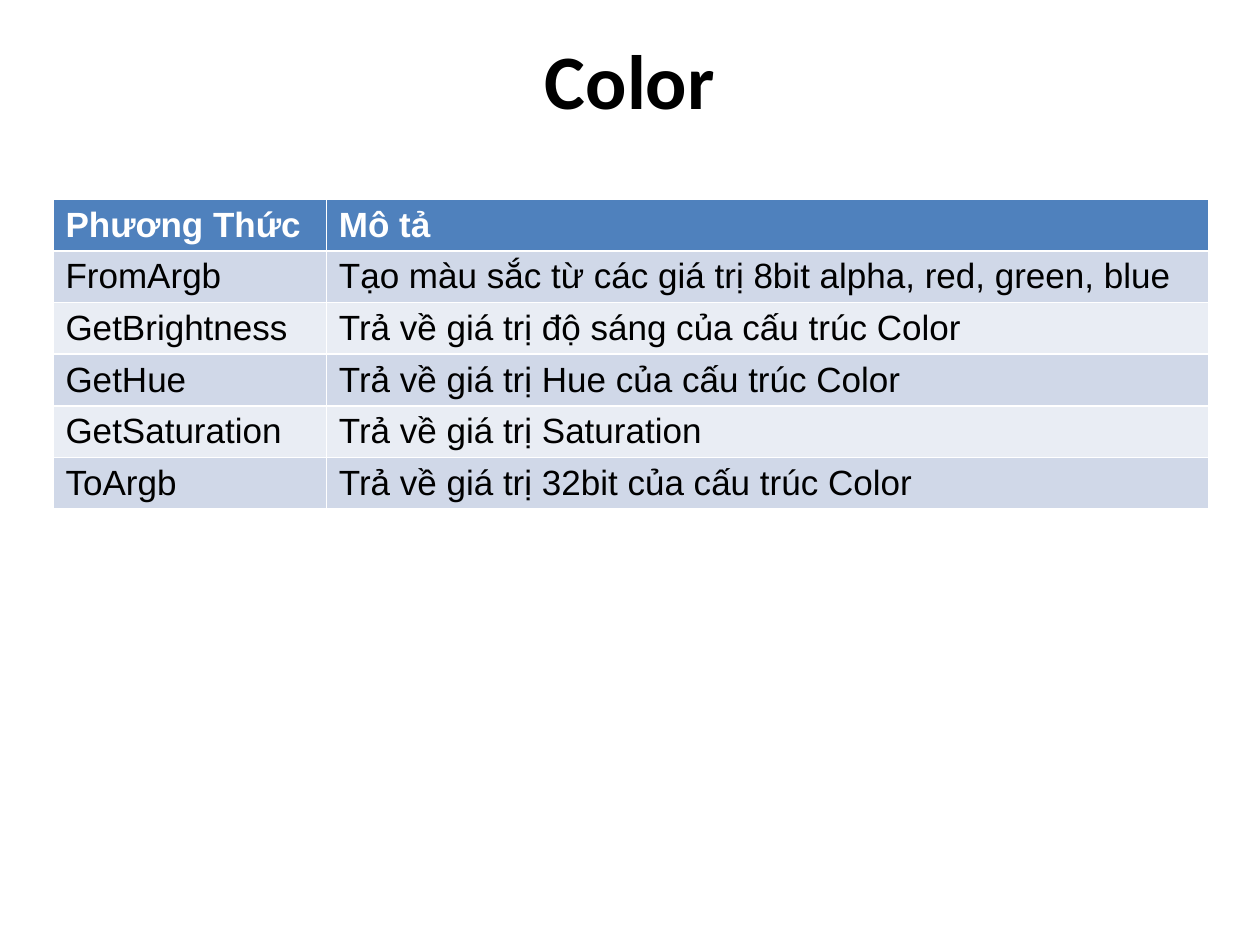
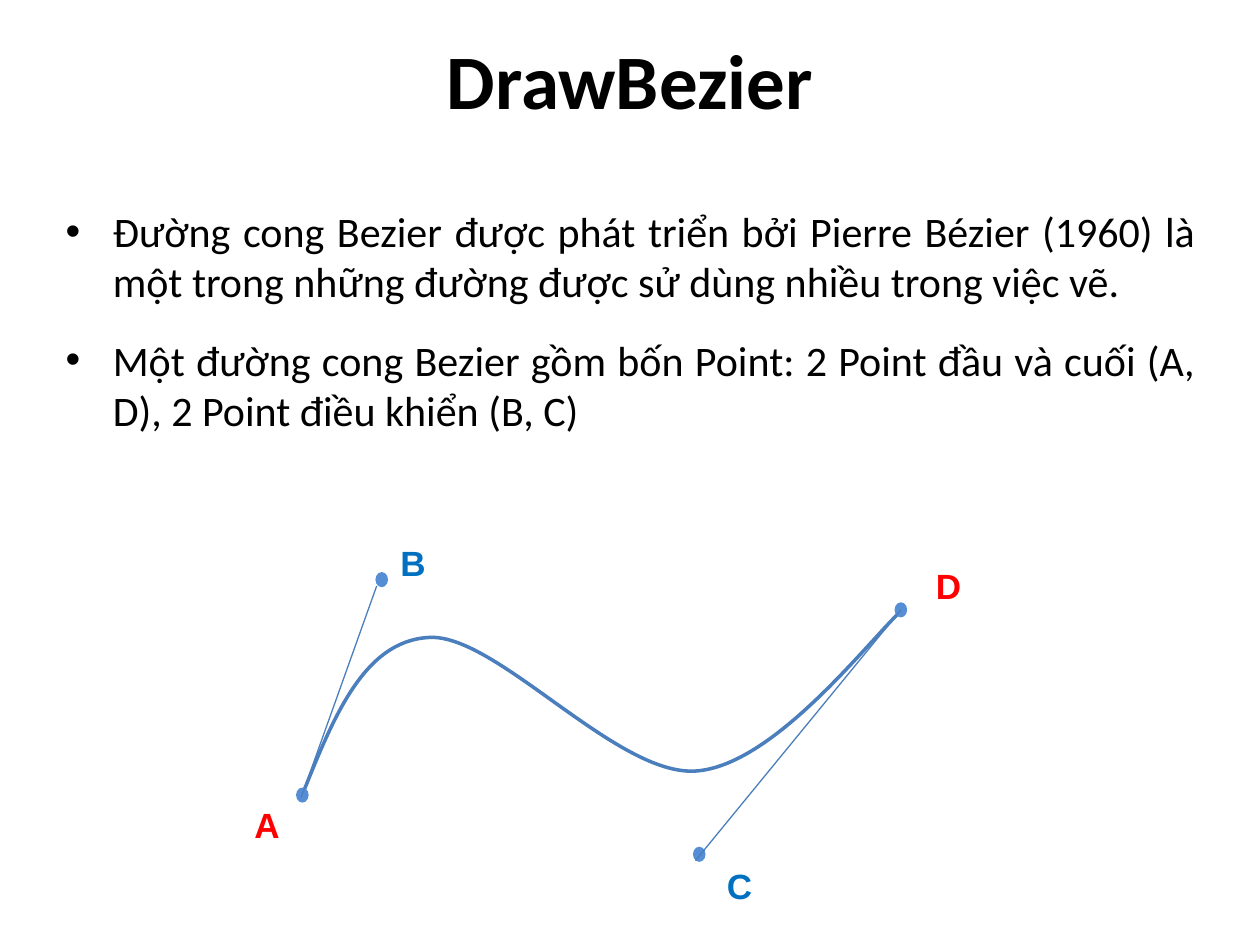
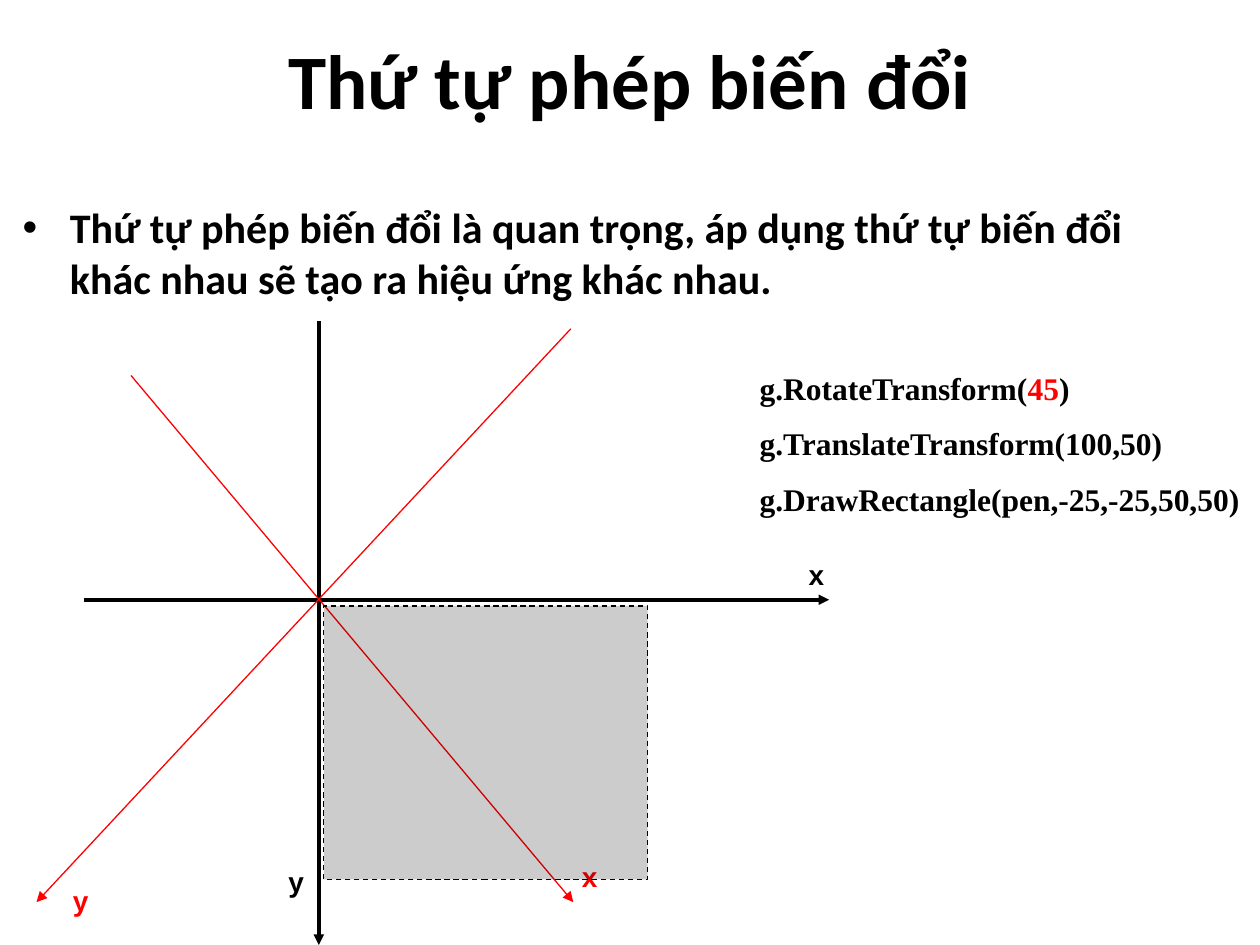
from lxml import etree
from pptx import Presentation
from pptx import util as u
from pptx.dml.color import RGBColor
from pptx.enum import dml, shapes, text
from pptx.oxml.ns import qn

SCALE = 9144  # EMU per px, 100 px to the inch

BLACK = RGBColor(0x00, 0x00, 0x00)
WHITE = RGBColor(0xFF, 0xFF, 0xFF)
RED = RGBColor(0xFF, 0x00, 0x00)
LABEL_BLUE = RGBColor(0x00, 0x70, 0xC0)
CURVE_BLUE = RGBColor(0x4B, 0x7E, 0xBC)
DOT_BLUE = RGBColor(0x55, 0x8E, 0xD5)
HEADER_BLUE = RGBColor(0x4F, 0x81, 0xBD)
BAND_DARK = RGBColor(0xD0, 0xD8, 0xE8)
BAND_LIGHT = RGBColor(0xE9, 0xED, 0xF4)

HEADING_FONT, LABEL_FONT, CODE_FONT = "Calibri", "Arial", "Times New Roman"
LIST_LAYOUT, TITLE_LAYOUT = 1, 5


def px(*lengths):
    return [u.Emu(length * SCALE) for length in lengths]


class Deck:
    """Holds the shared style and the slide being filled."""

    def __init__(self):
        self.presentation = Presentation()
        width, height = px(1000, 750)
        self.presentation.slide_width, self.presentation.slide_height = width, height
        self.slide = None

    def new_slide(self, layout, title):
        self.slide = self.presentation.slides.add_slide(
            self.presentation.slide_layouts[layout])
        shape = self.slide.shapes.title
        self.place(shape, 50, 0, 900, 125)
        frame = shape.text_frame
        frame.auto_size = text.MSO_AUTO_SIZE.NONE
        frame.vertical_anchor = text.MSO_ANCHOR.MIDDLE
        paragraph = frame.paragraphs[0]
        paragraph.alignment = text.PP_ALIGN.CENTER
        self.run(paragraph, title, 44, HEADING_FONT, bold=True)

    def place(self, shape, *box):
        shape.left, shape.top, shape.width, shape.height = px(*box)

    def run(self, paragraph, words, size, font, color=BLACK, bold=False):
        run = paragraph.add_run()
        run.text = words
        run.font.size = u.Pt(size)
        run.font.name = font
        run.font.bold = bold
        run.font.color.rgb = color

    def paragraphs(self, frame, count):
        while len(frame.paragraphs) < count:
            frame.add_paragraph()
        return frame.paragraphs

    def bullets(self, box, items, bold=False, align=None, space=None):
        shape = self.slide.placeholders[1]
        self.place(shape, *box)
        frame = shape.text_frame
        frame.auto_size = text.MSO_AUTO_SIZE.NONE
        for paragraph, item in zip(self.paragraphs(frame, len(items)), items):
            paragraph.alignment = align
            if space:
                paragraph.space_before = paragraph.space_after = u.Pt(space)
            self.run(paragraph, item, 24, HEADING_FONT, bold=bold)

    def text_box(self, box, lines, size, font, space=0):
        """Each line is a list of (words, color) runs."""
        frame = self.slide.shapes.add_textbox(*px(*box)).text_frame
        frame.word_wrap = True
        frame.margin_right = 0
        for paragraph, line in zip(self.paragraphs(frame, len(lines)), lines):
            paragraph.space_before = u.Pt(space)
            for words, color in line:
                self.run(paragraph, words, size, font, color, bold=True)

    def label(self, left, top, words, color, size):
        self.text_box((left, top, 42, 44), [[(words, color)]], size, LABEL_FONT)

    def table(self, left, top, column_widths, row_height, rows):
        shape = self.slide.shapes.add_table(
            len(rows), len(column_widths),
            *px(left, top, sum(column_widths), row_height * len(rows)))
        table = shape.table
        for column, width in zip(table.columns, px(*column_widths)):
            column.width = width
        for row_index, row in enumerate(rows):
            header = row_index == 0
            band = BAND_DARK if row_index % 2 else BAND_LIGHT
            for column_index, words in enumerate(row):
                cell = table.cell(row_index, column_index)
                cell.fill.solid()
                cell.fill.fore_color.rgb = HEADER_BLUE if header else band
                self.run(cell.text_frame.paragraphs[0], words, 20, LABEL_FONT,
                         WHITE if header else BLACK, bold=header)

    def line(self, start, end, color, width, arrow=False):
        connector = self.slide.shapes.add_connector(
            shapes.MSO_CONNECTOR.STRAIGHT, *px(*start, *end))
        connector.line.color.rgb = color
        connector.line.width = u.Pt(width)
        properties = connector.line._get_or_add_ln()
        if arrow:
            etree.SubElement(properties, qn("a:tailEnd"), type="triangle")
        etree.SubElement(properties.getparent(), qn("a:effectLst"))

    def shape(self, kind, box, fill):
        shape = self.slide.shapes.add_shape(kind, *px(*box))
        shape.shadow.inherit = False
        shape.fill.solid()
        shape.fill.fore_color.rgb = fill
        shape.line.fill.background()
        return shape

    def dot(self, left, top):
        self.shape(shapes.MSO_SHAPE.OVAL, (left, top, 10, 12), DOT_BLUE)

    def dashed_glass(self, box, opacity):
        shape = self.shape(shapes.MSO_SHAPE.RECTANGLE, box, BLACK)
        color = shape._element.spPr.find(qn("a:solidFill"))[0]
        etree.SubElement(color, qn("a:alpha"), val=str(opacity * 1000))
        shape.line.color.rgb = BLACK
        shape.line.width = u.Pt(0.75)
        shape.line.dash_style = dml.MSO_LINE.DASH

    def curve(self, start, controls, color, width):
        """Every three control points make one cubic segment."""
        builder = self.slide.shapes.build_freeform(*start, scale=SCALE)
        builder.add_line_segments(controls, close=False)
        shape = builder.convert_to_shape()
        segments = shape._element.xpath(".//a:lnTo")
        outline = segments[0].getparent()
        for first in range(0, len(segments), 3):
            cubic = etree.SubElement(outline, qn("a:cubicBezTo"))
            for segment in segments[first:first + 3]:
                cubic.append(segment[0])
                outline.remove(segment)
        shape.shadow.inherit = False
        shape.fill.background()
        shape.line.color.rgb = color
        shape.line.width = u.Pt(width)


def color_slide(deck):
    deck.new_slide(TITLE_LAYOUT, "Color")
    deck.table(42, 158, (217, 700), 41, [
        ("Phương Thức", "Mô tả"),
        ("FromArgb", "Tạo màu sắc từ các giá trị 8bit alpha, red, green, blue"),
        ("GetBrightness", "Trả về giá trị độ sáng của cấu trúc Color"),
        ("GetHue", "Trả về giá trị Hue của cấu trúc Color"),
        ("GetSaturation", "Trả về giá trị Saturation"),
        ("ToArgb", "Trả về giá trị 32bit của cấu trúc Color"),
    ])


def bezier_slide(deck):
    deck.new_slide(LIST_LAYOUT, "DrawBezier")
    deck.bullets((42, 158, 917, 542), [
        "Đường cong Bezier được phát triển bởi Pierre Bézier (1960) là một trong "
        "những đường được sử dùng nhiều trong việc vẽ.",
        "Một đường cong Bezier gồm bốn Point: 2 Point đầu và cuối (A, D), "
        "2 Point điều khiển (B, C)",
    ], align=text.PP_ALIGN.JUSTIFY, space=8)

    # Curve from A to D
    deck.curve((239, 633), [
        (264, 571), (288, 509), (340, 506),
        (393, 502), (489, 616), (552, 612),
        (614, 608), (689, 509), (717, 483),
    ], CURVE_BLUE, 2)

    # End points in red, control points in blue
    for name, color, label_at, dot_at in [
        ("A", RED, (192, 633), (235, 625)),
        ("D", RED, (733, 443), (710, 478)),
        ("B", LABEL_BLUE, (308, 425), (298, 454)),
        ("C", LABEL_BLUE, (567, 681), (550, 672)),
    ]:
        deck.label(*label_at, name, color, 20)
        deck.dot(*dot_at)

    # Tangents A-B and D-C
    deck.line((239, 633), (299, 465), CURVE_BLUE, 0.75)
    deck.line((715, 484), (552, 683), CURVE_BLUE, 0.75)


def transform_slide(deck):
    deck.new_slide(LIST_LAYOUT, "Thứ tự phép biến đổi")
    deck.bullets((8, 155, 917, 125), [
        "Thứ tự phép biến đổi là quan trọng, áp dụng thứ tự biến đổi khác nhau "
        "sẽ tạo ra hiệu ứng khác nhau.",
    ], bold=True)

    # Code
    deck.text_box((593, 288, 401, 130), [
        [("g.RotateTransform(", BLACK), ("45", RED), (")", BLACK)],
        [("g.TranslateTransform(100,50)", BLACK)],
        [("g.DrawRectangle(pen,-25,-25,50,50)", BLACK)],
    ], 18, CODE_FONT, space=10)

    # Axes before (black) and after (red) the rotation
    for name, color, width, start, end, label_at in [
        ("y", BLACK, 2, (253, 255), (253, 750), (219, 681)),
        ("x", BLACK, 2, (67, 476), (658, 476), (632, 438)),
        ("x", RED, 0.75, (104, 298), (455, 716), (452, 677)),
        ("y", RED, 0.75, (453, 261), (29, 716), (48, 696)),
    ]:
        deck.line(start, end, color, width, arrow=True)
        deck.label(*label_at, name, color, 16)

    # Drawing area
    deck.dashed_glass((257, 481, 257, 217), 20)


def main():
    deck = Deck()
    color_slide(deck)
    bezier_slide(deck)
    transform_slide(deck)
    deck.presentation.save("out.pptx")


if __name__ == "__main__":
    main()
